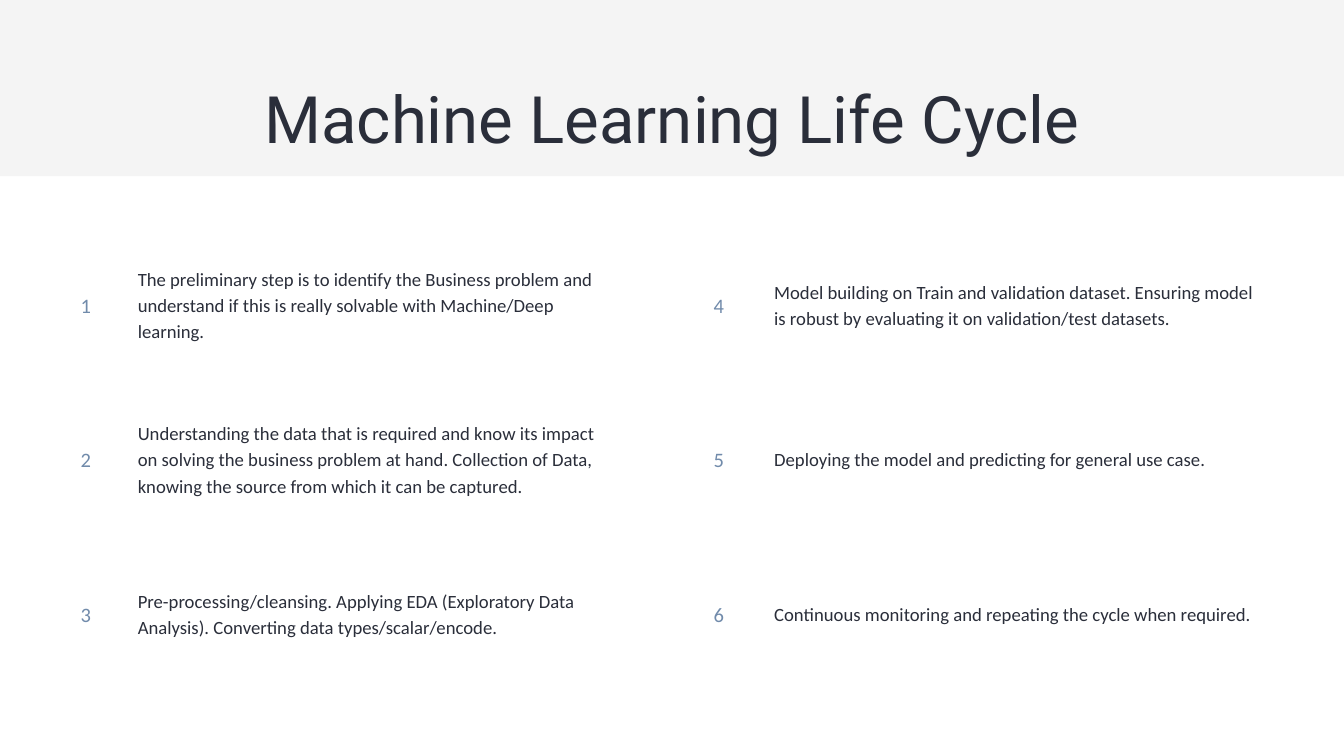
from pptx import Presentation
from pptx.dml.color import RGBColor
from pptx.enum.shapes import MSO_SHAPE as Shape
from pptx.enum.text import MSO_ANCHOR as Anchor, MSO_AUTO_SIZE as AutoSize, PP_ALIGN as Align
from pptx.util import Pt

TITLE = "Machine Learning Life Cycle"
STEPS = [
    "The preliminary step is to identify the Business problem and understand if this is "
    "really solvable with Machine/Deep learning.",
    "Understanding the data that is required and know its impact on solving the business "
    "problem at hand. Collection of Data, knowing the source from which it can be captured.",
    "Pre-processing/cleansing. Applying EDA (Exploratory Data Analysis). "
    "Converting data types/scalar/encode.",
    "Model building on Train and validation dataset. Ensuring model is robust by "
    "evaluating it on validation/test datasets.",
    "Deploying the model and predicting for general use case.",
    "Continuous monitoring and repeating the cycle when required.",
]

INK = RGBColor(0x2A, 0x2E, 0x3A)
STEEL = RGBColor(0x71, 0x8B, 0xAB)
PALE = RGBColor(0xF4, 0xF4, 0xF4)

PX = 9144  # 100 px to the inch
WIDTH, HEIGHT = 2000, 1125
BAND_HEIGHT = 262
TITLE_BOX = (235, 106, 1530, 125)
TABLE_TOP, ROW_HEIGHT, ROWS = 338, 230, 3
CELL_MARGIN = 8
# left edge, number column width, step column width
TABLES = [(112, 85, 702), (1054, 90, 744)]


def px(*lengths):
    return [length * PX for length in lengths]


def write(frame, text, font, size, line_spacing, color, align):
    paragraph = frame.paragraphs[0]
    paragraph.alignment = align
    paragraph.line_spacing = Pt(line_spacing)
    run = paragraph.add_run()
    run.text = text
    run.font.name = font
    run.font.size = Pt(size)
    run.font.color.rgb = color


def fill_cell(cell, text, size, color):
    cell.fill.background()
    cell.vertical_anchor = Anchor.MIDDLE
    cell.margin_left = cell.margin_right = CELL_MARGIN * PX
    cell.margin_top = cell.margin_bottom = CELL_MARGIN * PX
    write(cell.text_frame, text, "Calibri", size, size * 1.4, color, Align.LEFT)


def add_steps(slide, left, number_width, step_width, first, steps):
    table = slide.shapes.add_table(
        len(steps), 2,
        *px(left, TABLE_TOP, number_width + step_width, ROW_HEIGHT * len(steps))).table
    table.first_row = table.horz_banding = False
    for column, width in zip(table.columns, px(number_width, step_width)):
        column.width = width
    for row, step in enumerate(steps):
        fill_cell(table.cell(row, 0), str(first + row), 22, STEEL)
        fill_cell(table.cell(row, 1), step, 20, INK)


def add_header(slide):
    band = slide.shapes.add_shape(Shape.RECTANGLE, *px(0, 0, WIDTH, BAND_HEIGHT))
    band.shadow.inherit = False
    band.fill.solid()
    band.fill.fore_color.rgb = PALE
    band.line.fill.background()

    title = slide.shapes.title
    title.left, title.top, title.width, title.height = px(*TITLE_BOX)
    frame = title.text_frame
    frame.margin_left = frame.margin_right = frame.margin_top = frame.margin_bottom = 0
    frame.word_wrap = True
    frame.auto_size = AutoSize.NONE
    frame.vertical_anchor = Anchor.TOP
    write(frame, TITLE, "Roboto", 70, 91, INK, Align.CENTER)
    band._element.addnext(title._element)  # title in front of the band


def main():
    deck = Presentation()
    deck.slide_width, deck.slide_height = px(WIDTH, HEIGHT)
    slide = deck.slides.add_slide(deck.slide_layouts[5])
    for index, columns in enumerate(TABLES):
        start = index * ROWS
        add_steps(slide, *columns, start + 1, STEPS[start:start + ROWS])
    add_header(slide)
    deck.save("out.pptx")


if __name__ == "__main__":
    main()
